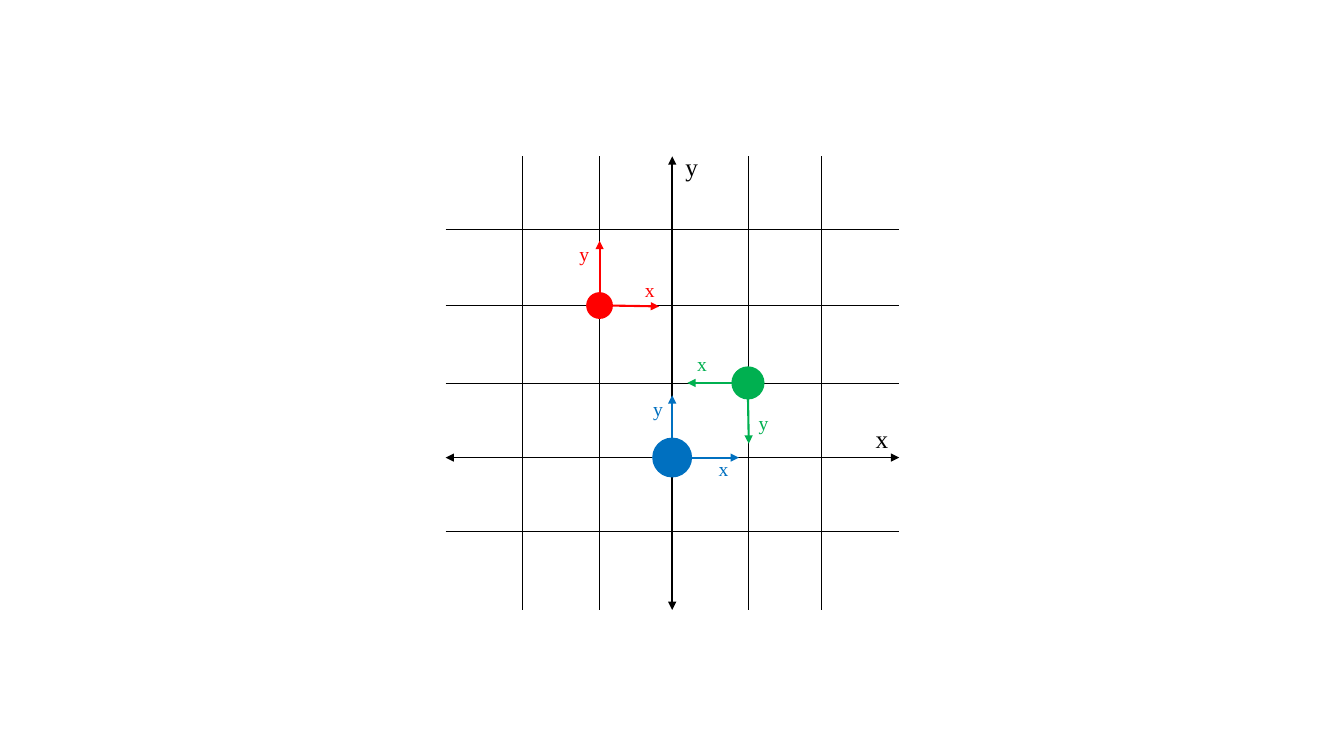
import math

import pptx
import pptx.dml.color
import pptx.enum.shapes
import pptx.enum.text
import pptx.oxml.ns
import pptx.util
from lxml import etree

Cm, Pt = pptx.util.Cm, pptx.util.Pt

BLACK, GREEN, RED, BLUE = "000000", "00B050", "FF0000", "0070C0"

# Grid, in centimetres
LEFT, RIGHT = 11.23, 22.66
TOP, BOTTOM = 3.94, 15.37
ORIGIN_X, ORIGIN_Y = 16.94, 11.53
GRID_COLUMNS = (18.85, 20.7, 15.11, 13.16)
GRID_ROWS = (9.65, 5.77, 13.39, 7.7)

# side: 1 starts the arrows at the rim facing the tip, -1 at the opposite rim
FRAMES = (
    dict(color=GREEN, center=(18.85, 9.65), diameter=0.8, side=1,
         x_tip=(17.32, 9.65), y_tip=(18.87, 11.18),
         x_label=(17.32, 8.74), y_label=(18.87, 10.24)),
    dict(color=RED, center=(15.11, 7.7), diameter=0.64, side=1,
         x_tip=(16.61, 7.72), y_tip=(15.11, 6.07),
         x_label=(16.0, 6.88), y_label=(14.35, 5.97)),
    dict(color=BLUE, center=(ORIGIN_X, ORIGIN_Y), diameter=0.97, side=-1,
         x_tip=(18.62, ORIGIN_Y), y_tip=(ORIGIN_X, 9.96),
         x_label=(17.86, 11.38), y_label=(16.21, 9.88)),
)


def rgb(hex_color):
    return pptx.dml.color.RGBColor.from_string(hex_color)


def apply(target, formats):
    for name, value in formats.items():
        setattr(target, name, value)


class Diagram:
    font_name = "Times New Roman"
    label_sizes = {18: (0.84, 1.02), 14: (0.76, 0.86)}

    def __init__(self, slide):
        self.shapes = slide.shapes.add_group_shape().shapes

    def line(self, start, end, color=BLACK, width=0.5, arrows=()):
        """Draw a line; arrows may hold "headEnd" (start) and "tailEnd" (end)."""
        connector = self.shapes.add_connector(
            pptx.enum.shapes.MSO_CONNECTOR.STRAIGHT,
            *(Cm(value) for value in (*start, *end)))
        connector.line.width = Pt(width)
        connector.line.color.rgb = rgb(color)
        qn = pptx.oxml.ns.qn
        properties = connector.element.spPr
        outline = properties.find(qn("a:ln"))
        for arrow in arrows:
            etree.SubElement(outline, qn(f"a:{arrow}"), type="triangle")
        etree.SubElement(properties, qn("a:effectLst"))

    def dot(self, center, diameter, color):
        left, top = (Cm(value - diameter / 2) for value in center)
        circle = self.shapes.add_shape(
            pptx.enum.shapes.MSO_SHAPE.OVAL, left, top, Cm(diameter), Cm(diameter))
        circle.shadow.inherit = False
        circle.fill.solid()
        circle.fill.fore_color.rgb = rgb(color)
        circle.line.color.rgb = rgb(color)
        circle.line.width = Pt(1)

    def label(self, text, corner, color=BLACK, size=14):
        box = self.shapes.add_textbox(
            *(Cm(value) for value in (*corner, *self.label_sizes[size])))
        apply(box.text_frame, {
            "word_wrap": False,
            "auto_size": pptx.enum.text.MSO_AUTO_SIZE.SHAPE_TO_FIT_TEXT,
        })
        run = box.text_frame.paragraphs[0].add_run()
        run.text = text
        apply(run.font, {"name": self.font_name, "size": Pt(size)})
        run.font.color.rgb = rgb(color)

    def frame(self, color, center, diameter, side, x_tip, y_tip, x_label, y_label):
        """Draw a local coordinate frame: a dot, two arrows and their labels."""
        self.dot(center, diameter, color)
        x, y = center
        reach = side * diameter / 2
        x_start = (x + math.copysign(1, x_tip[0] - x) * reach, y)
        y_start = (x, y + math.copysign(1, y_tip[1] - y) * reach)
        for start, tip in ((x_start, x_tip), (y_start, y_tip)):
            self.line(start, tip, color, 1.5, ("tailEnd",))
        self.label("x", x_label, color)
        self.label("y", y_label, color)


def main():
    presentation = pptx.Presentation()
    apply(presentation, {"slide_width": Cm(33.87), "slide_height": Cm(19.05)})
    diagram = Diagram(presentation.slides.add_slide(presentation.slide_layouts[6]))

    axis = dict(width=1.25, arrows=("headEnd", "tailEnd"))
    diagram.line((ORIGIN_X, TOP), (ORIGIN_X, BOTTOM), **axis)
    diagram.line((LEFT, ORIGIN_Y), (RIGHT, ORIGIN_Y), **axis)
    for x in GRID_COLUMNS:
        diagram.line((x, TOP), (x, BOTTOM))
    for y in GRID_ROWS:
        diagram.line((LEFT, y), (RIGHT, y))
    diagram.label("x", (21.82, 10.54), size=18)
    diagram.label("y", (17.02, 3.68), size=18)

    for frame in FRAMES:
        diagram.frame(**frame)
    presentation.save("out.pptx")


if __name__ == "__main__":
    main()
